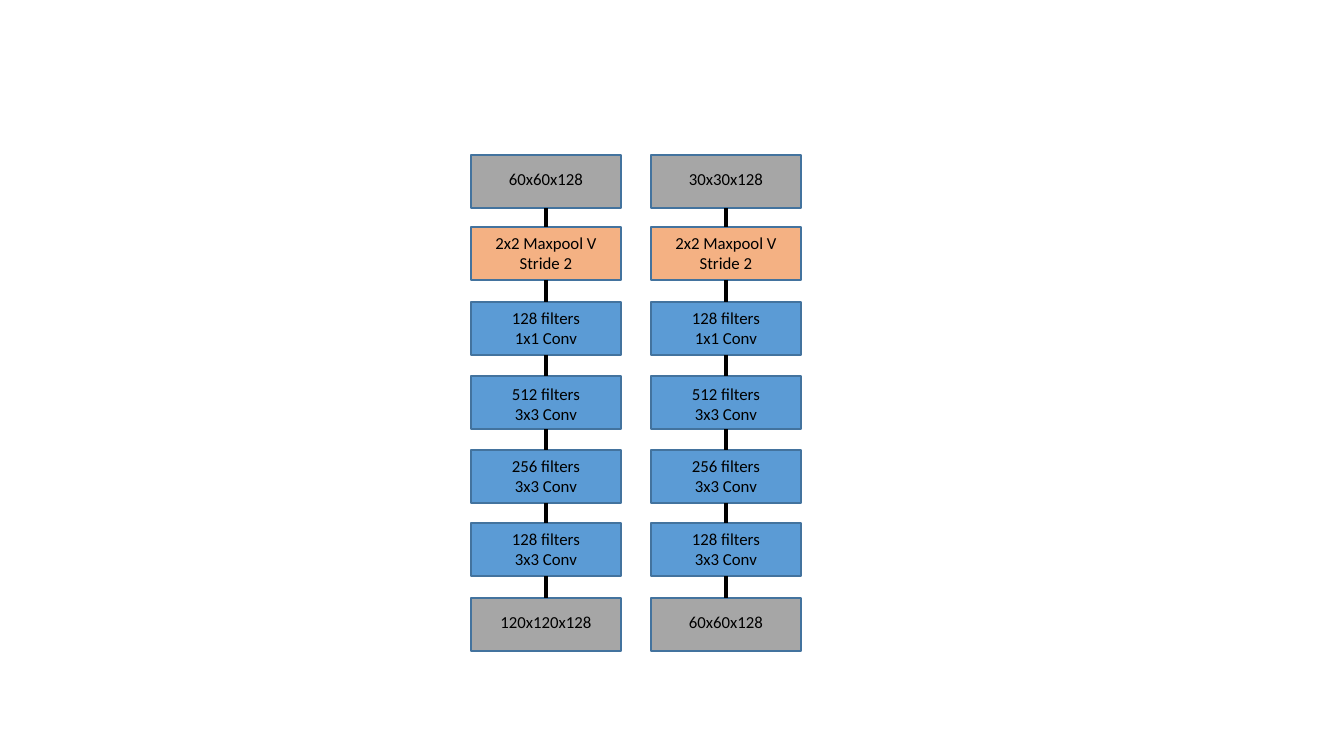
"""Build a slide with two stacks of convolution layers and their tensor sizes."""
import pptx
import pptx.dml.color
import pptx.enum.shapes
import pptx.enum.text
import pptx.oxml.ns
import pptx.util
from lxml import etree

COLOURS = {"tensor": "A6A6A6", "pool": "F4B183", "conv": "5B9BD5",
           "outline": "43739E", "ink": "000000"}
SCALE = 914400 / 100.8
BOX_WIDTH, BOX_HEIGHT, LABEL_INSET = 150, 53, 10


def emu(*pixels):
    return [pptx.util.Emu(round(pixel * SCALE)) for pixel in pixels]


def add_label(text, left, top, width, height, size=12, font="Calibri", colour="ink"):
    label = page.shapes.add_textbox(*emu(left, top, width, height))
    frame = label.text_frame
    frame.word_wrap = True
    frame.auto_size = pptx.enum.text.MSO_AUTO_SIZE.SHAPE_TO_FIT_TEXT
    frame.text = text
    for para in frame.paragraphs:
        para.alignment = pptx.enum.text.PP_ALIGN.CENTER
        for span in para.runs:
            span.font.name = font
            span.font.size = pptx.util.Pt(size)
            span.font.color.rgb = pptx.dml.color.RGBColor.from_string(COLOURS[colour])


deck = pptx.Presentation()
deck.slide_width, deck.slide_height = emu(1344, 756)
page = deck.slides.add_slide(deck.slide_layouts[6])

columns = [(471, "60x60x128", "120x120x128"), (651, "30x30x128", "60x60x128")]
layers = [
    ("pool", 227, 228, "2x2 Maxpool V\nStride 2"),
    ("conv", 302, 303, "128 filters\n1x1 Conv"),
    ("conv", 376, 379, "512 filters\n3x3 Conv"),
    ("conv", 450, 451, "256 filters\n3x3 Conv"),
    ("conv", 523, 524, "128 filters\n3x3 Conv"),
]

for left, output_size, input_size in columns:
    stack = [("tensor", 155, 164, output_size), *layers, ("tensor", 598, 607, input_size)]
    for kind, top, label_top, text in stack:
        box = page.shapes.add_shape(pptx.enum.shapes.MSO_SHAPE.RECTANGLE,
                                    *emu(left, top, BOX_WIDTH, BOX_HEIGHT))
        box.shadow.inherit = False
        box.fill.solid()
        box.fill.fore_color.rgb = pptx.dml.color.RGBColor.from_string(COLOURS[kind])
        box.line.color.rgb = pptx.dml.color.RGBColor.from_string(COLOURS["outline"])
        box.line.width = pptx.util.Pt(1)
        label_height = 30 if kind == "tensor" else 50
        add_label(text, left + LABEL_INSET, label_top,
                  BOX_WIDTH - 2 * LABEL_INSET, label_height)

    centre = left + BOX_WIDTH / 2
    for upper, lower in zip(stack, stack[1:]):
        link = page.shapes.add_connector(pptx.enum.shapes.MSO_CONNECTOR.STRAIGHT,
                                         *emu(centre, upper[1] + BOX_HEIGHT, centre, lower[1]))
        link.line.color.rgb = pptx.dml.color.RGBColor.from_string(COLOURS["ink"])
        link.line.width = pptx.util.Pt(2.5)
        etree.SubElement(link.element.spPr, pptx.oxml.ns.qn("a:effectLst"))

deck.save("out.pptx")
